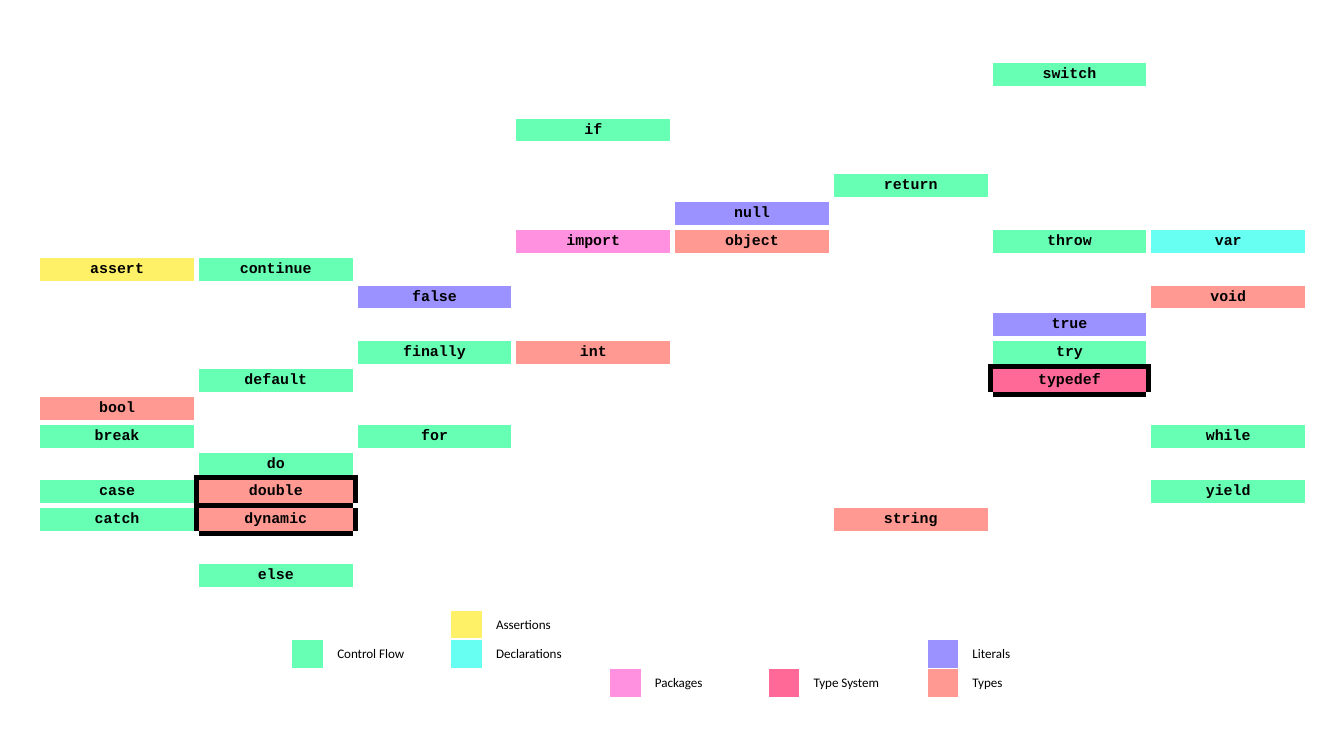
from lxml import etree
from pptx import Presentation
from pptx.dml.color import RGBColor
from pptx.enum import text
from pptx.oxml import ns
from pptx.util import Pt

BLACK = RGBColor(0x00, 0x00, 0x00)
WHITE = RGBColor(0xFF, 0xFF, 0xFF)
ASSERTION = RGBColor(0xFF, 0xF1, 0x67)
CONTROL = RGBColor(0x67, 0xFF, 0xB3)
DECLARATION = RGBColor(0x67, 0xFF, 0xF1)
LITERAL = RGBColor(0x9B, 0x91, 0xFF)
PACKAGE = RGBColor(0xFF, 0x91, 0xE0)
TYPE_SYSTEM = RGBColor(0xFF, 0x69, 0x97)
TYPE = RGBColor(0xFF, 0x99, 0x91)

# One entry per column: row -> (keyword, category colour)
KEYWORDS = [
    {7: ("assert", ASSERTION), 12: ("bool", TYPE), 13: ("break", CONTROL),
     15: ("case", CONTROL), 16: ("catch", CONTROL)},
    {7: ("continue", CONTROL), 11: ("default", CONTROL), 14: ("do", CONTROL),
     15: ("double", TYPE), 16: ("dynamic", TYPE), 18: ("else", CONTROL)},
    {8: ("false", LITERAL), 10: ("finally", CONTROL), 13: ("for", CONTROL)},
    {2: ("if", CONTROL), 6: ("import", PACKAGE), 10: ("int", TYPE)},
    {5: ("null", LITERAL), 6: ("object", TYPE)},
    {4: ("return", CONTROL), 16: ("string", TYPE)},
    {0: ("switch", CONTROL), 6: ("throw", CONTROL), 9: ("true", LITERAL),
     10: ("try", CONTROL), 11: ("typedef", TYPE_SYSTEM)},
    {6: ("var", DECLARATION), 8: ("void", TYPE), 13: ("while", CONTROL),
     15: ("yield", CONTROL)},
]
HIGHLIGHTED = {"double", "dynamic", "typedef"}

# One entry per swatch-and-label pair of columns
LEGEND = [
    {1: ("Control Flow", CONTROL)},
    {0: ("Assertions", ASSERTION), 1: ("Declarations", DECLARATION)},
    {2: ("Packages", PACKAGE)},
    {2: ("Type System", TYPE_SYSTEM)},
    {1: ("Literals", LITERAL), 2: ("Types", TYPE)},
]

# Border side -> step to the neighbouring cell, in schema order
SIDES = {"L": (0, -1), "R": (0, 1), "T": (-1, 0), "B": (1, 0)}


def add_grid(slide, left, top, widths, row_height, row_count):
    """Add a table without header or banding."""
    frame = slide.shapes.add_table(
        row_count, len(widths), Pt(left), Pt(top),
        Pt(sum(widths)), Pt(row_height * row_count))
    table = frame.table
    table.first_row = table.horz_banding = False
    for column, width in zip(table.columns, widths):
        column.width = Pt(width)
    for row in table.rows:
        row.height = Pt(row_height)
    return table


def set_border(cell, side, color, width):
    properties = cell._tc.get_or_add_tcPr()
    line = etree.SubElement(properties, ns.qn(f"a:ln{side}"), w=str(Pt(width)))
    fill = etree.SubElement(line, ns.qn("a:solidFill"))
    etree.SubElement(fill, ns.qn("a:srgbClr"), val=str(color))


def set_fill(cell, color):
    if color is None:
        cell.fill.background()
    else:
        cell.fill.solid()
        cell.fill.fore_color.rgb = color


def set_text(cell, words, *, size, font, bold=False, align=None, indent=0):
    cell.margin_left = cell.margin_right = Pt(indent)
    cell.margin_top = cell.margin_bottom = 0
    cell.vertical_anchor = text.MSO_ANCHOR.MIDDLE
    para = cell.text_frame.paragraphs[0]
    if not words:
        # Small end mark keeps an empty row at its set height
        etree.SubElement(para._p, ns.qn("a:endParaRPr"), sz=str(size * 100))
        return
    para.alignment = align
    span = para.add_run()
    span.text = words
    span.font.size = Pt(size)
    span.font.name = font
    span.font.bold = bold
    span.font.color.rgb = BLACK


def add_keywords(slide):
    table = add_grid(slide, 20.2, 32.4, [85.05] * len(KEYWORDS), 14.93, 19)
    marked = {(row, column) for column, entries in enumerate(KEYWORDS)
              for row, (word, _) in entries.items() if word in HIGHLIGHTED}
    for column, entries in enumerate(KEYWORDS):
        for row in range(len(table.rows)):
            cell = table.cell(row, column)
            word, color = entries.get(row, ("", None))
            set_text(cell, word, size=8, font="Courier New", bold=True,
                     align=text.PP_ALIGN.CENTER)
            for side, (down, across) in SIDES.items():
                touching = {(row, column), (row + down, column + across)}
                set_border(cell, side, BLACK if touching & marked else WHITE, 3)
            set_fill(cell, color)


def add_legend(slide):
    table = add_grid(slide, 156.2, 326.9, [17.3, 67.8] * len(LEGEND), 15.6, 3)
    for pair, entries in enumerate(LEGEND):
        for row in range(len(table.rows)):
            label, color = entries.get(row, ("", None))
            parts = [("", color), (label, None)]
            for offset, (words, fill) in enumerate(parts):
                cell = table.cell(row, 2 * pair + offset)
                set_text(cell, words, size=7, font="Calibri", indent=7.2)
                for side in SIDES:
                    set_border(cell, side, WHITE, 1)
                set_fill(cell, fill)


def main():
    deck = Presentation()
    deck.slide_width, deck.slide_height = Pt(720), Pt(405)
    page = deck.slides.add_slide(deck.slide_layouts[6])  # blank layout
    add_keywords(page)
    add_legend(page)
    deck.save("out.pptx")


if __name__ == "__main__":
    main()
